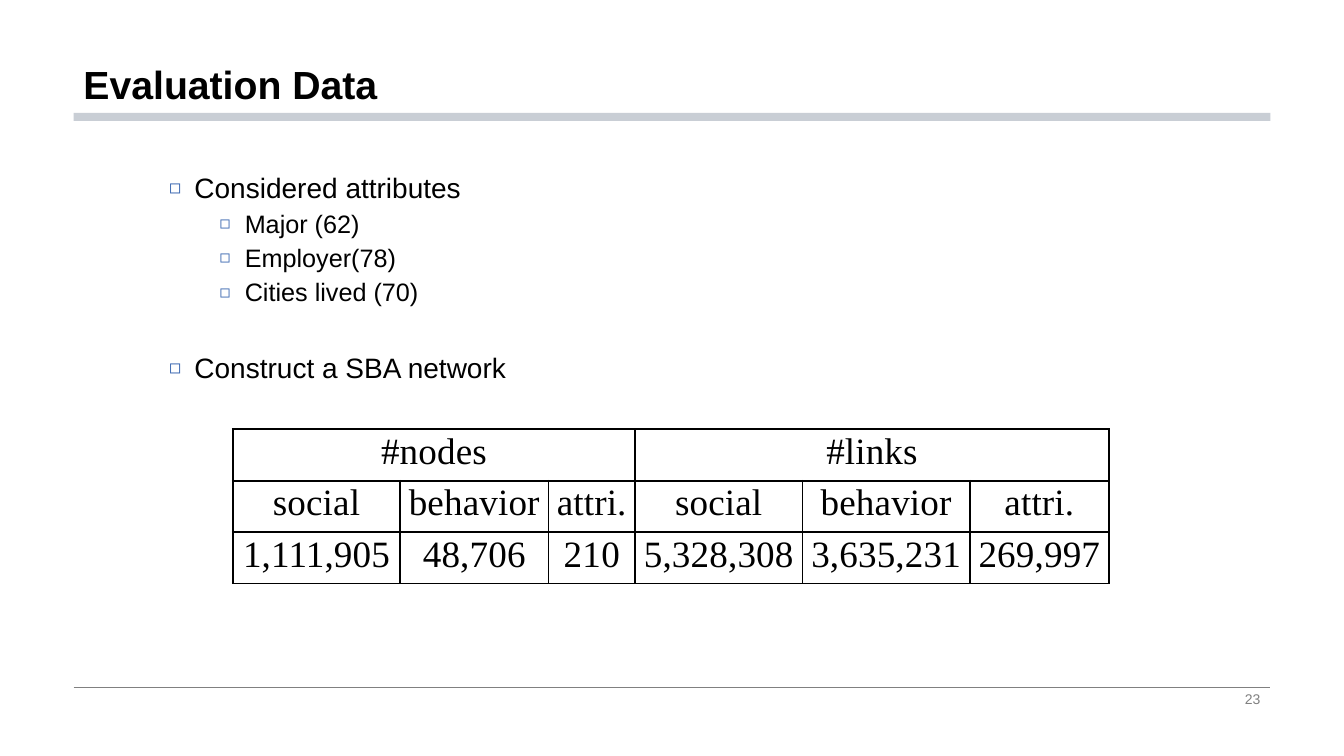
import dataclasses

import pptx
import pptx.dml.color
import pptx.enum.shapes
import pptx.enum.text
import pptx.oxml
import pptx.oxml.ns
import pptx.util
from pptx.util import Inches

ALIGN = pptx.enum.text.PP_ALIGN
ANCHOR = pptx.enum.text.MSO_ANCHOR
NAMESPACE = pptx.oxml.ns.nsdecls("a")
LEFT, WIDTH = 0.73, 11.87


@dataclasses.dataclass
class Bullet:
    text: str
    indent: float = 0.25
    size: float = 20
    before: float = 10


BULLETS = [
    Bullet("Considered attributes", before=0),
    Bullet("Major (62)", 0.75, 18, 5),
    Bullet("Employer(78)", 0.75, 18, 5),
    Bullet("Cities lived (70)", 0.75, 18, 5),
    Bullet("Construct a SBA network", before=33.6),
]

COLUMN_WIDTHS = [1.66, 1.47, 0.86, 1.66, 1.66, 1.38]
ROW_HEIGHT = 0.51
TABLE_ROWS = [
    ["#nodes", "", "", "#links", "", ""],
    ["social", "behavior", "attri."] * 2,
    ["1,111,905", "48,706", "210", "5,328,308", "3,635,231", "269,997"],
]


def color(value: str) -> pptx.dml.color.RGBColor:
    return pptx.dml.color.RGBColor.from_string(value)


def write(para, text: str, *, size: float, font="Arial", ink="000000",
          bold=False, align=ALIGN.LEFT, spacing=None, before=0):
    """Add formatted text to a paragraph and return its run."""
    para.alignment = align
    para.line_spacing = spacing
    para.space_before = pptx.util.Pt(before)
    span = para.add_run()
    span.text = text
    span.font.size = pptx.util.Pt(size)
    span.font.name = font
    span.font.bold = bold
    span.font.color.rgb = color(ink)
    return span


def add_box(page, left: float, top: float, width: float, height: float, anchor=ANCHOR.TOP):
    box = page.shapes.add_textbox(Inches(left), Inches(top), Inches(width), Inches(height))
    box.text_frame.word_wrap = True
    box.text_frame.vertical_anchor = anchor
    return box.text_frame


def add_bullet(para, bullet: Bullet) -> None:
    write(para, bullet.text, size=bullet.size, spacing=0.9, before=bullet.before)
    properties = para._p.get_or_add_pPr()
    properties.set("marL", str(Inches(bullet.indent)))
    properties.set("indent", str(Inches(-0.25)))
    for markup in (
        f'<a:buClr {NAMESPACE}><a:srgbClr val="3966B0"/></a:buClr>',
        f'<a:buSzPct {NAMESPACE} val="70000"/>',
        f'<a:buFont {NAMESPACE} typeface="Arial"/>',
        f'<a:buChar {NAMESPACE} char="◻"/>',
    ):
        properties.append(pptx.oxml.parse_xml(markup))


def fill_cell(cell, text: str) -> None:
    cell.margin_left = cell.margin_right = cell.margin_top = cell.margin_bottom = 0
    properties = cell._tc.get_or_add_tcPr()
    for side in ("lnL", "lnR", "lnT", "lnB"):
        properties.append(pptx.oxml.parse_xml(
            f'<a:{side} {NAMESPACE} w="{pptx.util.Pt(1.5)}"><a:solidFill>'
            f'<a:srgbClr val="000000"/></a:solidFill></a:{side}>'))
    cell.fill.background()
    if text:
        span = write(cell.text_frame.paragraphs[0], text, size=26.5, font="Times New Roman",
                     align=ALIGN.CENTER, spacing=pptx.util.Pt(30.8))
        span.font._element.set("spc", "20" if text == "210" else "10")


def add_counts_table(page) -> None:
    frame = page.shapes.add_table(
        len(TABLE_ROWS), len(COLUMN_WIDTHS), Inches(2.31), Inches(4.26),
        Inches(sum(COLUMN_WIDTHS)), Inches(ROW_HEIGHT * len(TABLE_ROWS)))
    table = frame.table
    table.first_row = table.horz_banding = False
    for column, width in zip(table.columns, COLUMN_WIDTHS):
        column.width = Inches(width)
    for start in (0, 3):
        table.cell(0, start).merge(table.cell(0, start + 2))
    for row_index, texts in enumerate(TABLE_ROWS):
        table.rows[row_index].height = Inches(ROW_HEIGHT)
        for column_index, text in enumerate(texts):
            fill_cell(table.cell(row_index, column_index), text)


def main() -> None:
    deck = pptx.Presentation()
    deck.slide_width, deck.slide_height = Inches(13.33), Inches(7.5)
    page = deck.slides.add_slide(deck.slide_layouts[6])

    # Footer rule and title bar
    rule = page.shapes.add_connector(
        pptx.enum.shapes.MSO_CONNECTOR.STRAIGHT,
        Inches(LEFT), Inches(6.82), Inches(LEFT + WIDTH), Inches(6.82))
    rule.line.color.rgb = color("808080")
    rule.line.width = pptx.util.Pt(0.5)
    rule._element.spPr.append(pptx.oxml.parse_xml(f"<a:effectLst {NAMESPACE}/>"))
    bar = page.shapes.add_shape(
        pptx.enum.shapes.MSO_SHAPE.RECTANGLE,
        Inches(LEFT), Inches(1.12), Inches(WIDTH), Inches(0.08))
    bar.shadow.inherit = False
    bar.fill.solid()
    bar.fill.fore_color.rgb = color("C9CED5")
    bar.line.fill.background()

    # Title
    title = add_box(page, LEFT, 0, WIDTH, 1.12, ANCHOR.BOTTOM)
    write(title.paragraphs[0], "Evaluation Data", size=28, bold=True, spacing=0.9)

    # Bullet list
    body = add_box(page, 1.58, 1.23, 10.16, 5.49)
    body.margin_top = Inches(0.5)
    for index, bullet in enumerate(BULLETS):
        add_bullet(body.add_paragraph() if index else body.paragraphs[0], bullet)

    # Page number
    number = add_box(page, 9.42, 6.82, 3.18, 0.23, ANCHOR.MIDDLE)
    write(number.paragraphs[0], "23", size=10, ink="808080", align=ALIGN.RIGHT)

    # Network counts
    add_counts_table(page)

    deck.save("out.pptx")


if __name__ == "__main__":
    main()
